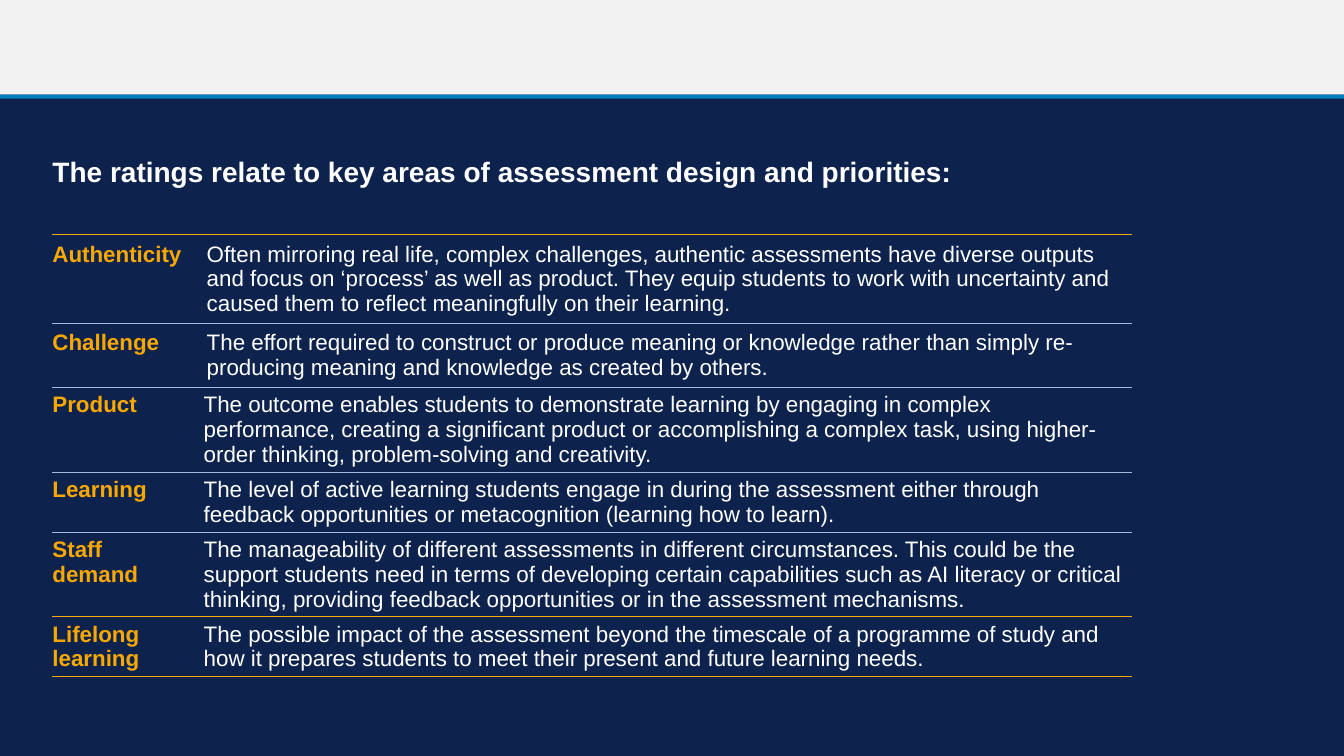
from dataclasses import dataclass

from lxml.etree import SubElement
from pptx import Presentation
from pptx.dml.color import RGBColor as RGB
from pptx.enum.shapes import MSO_SHAPE as SHAPE
from pptx.enum.text import MSO_ANCHOR as ANCHOR, PP_ALIGN as ALIGN
from pptx.oxml.ns import qn
from pptx.util import Inches, Pt

HEADING = "The ratings relate to key areas of assessment design and priorities:"
AREAS = [
    ("Authenticity", "Often mirroring real life, complex challenges, authentic assessments have diverse outputs "
     "and focus on ‘process’ as well as product. They equip students to work with uncertainty and "
     "caused them to reflect meaningfully on their learning."),
    ("Challenge", "The effort required to construct or produce meaning or knowledge rather than simply "
     "re-producing meaning and knowledge as created by others."),
    ("Product", "The outcome enables students to demonstrate learning by engaging in complex performance, "
     "creating a significant product or accomplishing a complex task, using higher-order thinking, "
     "problem-solving and creativity."),
    ("Learning", "The level of active learning students engage in during the assessment either through "
     "feedback opportunities or metacognition (learning how to learn)."),
    ("Staff demand", "The manageability of different assessments in different circumstances. This could be "
     "the support students need in terms of developing certain capabilities such as AI literacy or "
     "critical thinking, providing feedback opportunities or in the assessment mechanisms."),
    ("Lifelong\nlearning", "The possible impact of the assessment beyond the timescale of a programme of study "
     "and how it prepares students to meet their present and future learning needs."),
]
ROW_HEIGHTS = [0.87, 0.62, 0.84, 0.59, 0.84, 0.59]
COLUMN_WIDTHS = [1.4, 9.31]
ROOMY_ROWS = 2
ROOMY_INSETS = [(0, 0.07, 0.04, 0.07), (0.13, 0.07, 0.04, 0.07)]
TIGHT_INSETS = [(0, 0.05, 0.1, 0.05), (0.1, 0.05, 0.1, 0.05)]


@dataclass(frozen=True)
class Theme:
    """Colours, font and type sizes of the slide."""
    navy: str = "0D224C"
    band: str = "F2F2F2"
    stripe: str = "007DBA"
    gold: str = "F8A800"
    rule: str = "A3B8DA"
    white: str = "FFFFFF"
    font: str = "Arial"
    heading: int = 20
    body: int = 16


THEME = Theme()
RULES = [THEME.gold] + [THEME.rule] * 4 + [THEME.gold] * 2


def put_text(frame, text, size=THEME.body, color=THEME.white, bold=False):
    """Write text into a frame with one format."""
    frame.text = text
    frame.word_wrap = True
    for paragraph in frame.paragraphs:
        paragraph.alignment = ALIGN.LEFT
        font = paragraph.font
        font.name, font.size, font.bold = THEME.font, Pt(size), bold
        font.color.rgb = RGB.from_string(color)


def set_insets(box, insets):
    """Set the left, top, right and bottom margins in inches."""
    box.margin_left, box.margin_top, box.margin_right, box.margin_bottom = map(Inches, insets)


def set_rules(cell, above, below):
    """Rule a cell above and below, leaving its sides open."""
    properties = cell._tc.get_or_add_tcPr()
    for side, color in (("L", None), ("R", None), ("T", above), ("B", below)):
        line = SubElement(properties, qn(f"a:ln{side}"), w=str(Pt(0.75)))
        if color:
            SubElement(SubElement(line, qn("a:solidFill")), qn("a:srgbClr"), val=color)
        else:
            SubElement(line, qn("a:noFill"))


def add_band(slide, top, height, color):
    """Add a full-width band."""
    band = slide.shapes.add_shape(SHAPE.RECTANGLE, 0, Inches(top), Inches(13.33), Inches(height))
    band.shadow.inherit = False
    band.fill.solid()
    band.fill.fore_color.rgb = RGB.from_string(color)
    band.line.fill.background()


def add_areas(slide):
    """Add the table of assessment areas."""
    table = slide.shapes.add_table(
        len(AREAS), len(COLUMN_WIDTHS), Inches(0.52), Inches(2.33),
        Inches(sum(COLUMN_WIDTHS)), Inches(sum(ROW_HEIGHTS))).table
    table.first_row = table.horz_banding = False
    for column, width in zip(table.columns, COLUMN_WIDTHS):
        column.width = Inches(width)
    for index, (area, height) in enumerate(zip(AREAS, ROW_HEIGHTS)):
        row = table.rows[index]
        row.height = Inches(height)
        insets = ROOMY_INSETS if index < ROOMY_ROWS else TIGHT_INSETS
        formats = [{"color": THEME.gold, "bold": True}, {}]
        for cell, text, inset, style in zip(row.cells, area, insets, formats):
            put_text(cell.text_frame, text, **style)
            set_insets(cell, inset)
            cell.vertical_anchor = ANCHOR.TOP
            set_rules(cell, RULES[index], RULES[index + 1])
            cell.fill.background()


def main():
    """Build and save the slide."""
    deck = Presentation()
    deck.slide_width, deck.slide_height = Inches(13.33), Inches(7.5)
    slide = deck.slides.add_slide(deck.slide_layouts[5])
    slide.background.fill.solid()
    slide.background.fill.fore_color.rgb = RGB.from_string(THEME.navy)
    add_band(slide, 0, 0.94, THEME.band)
    add_band(slide, 0.94, 0.04, THEME.stripe)
    title = slide.shapes.title
    title.left, title.top, title.width, title.height = map(Inches, (0.52, 1.53, 12.29, 0.5))
    put_text(title.text_frame, HEADING, size=THEME.heading, bold=True)
    set_insets(title.text_frame, (0, 0, 0, 0))
    title.text_frame.vertical_anchor = ANCHOR.TOP
    add_areas(slide)
    deck.save("out.pptx")


if __name__ == "__main__":
    main()
